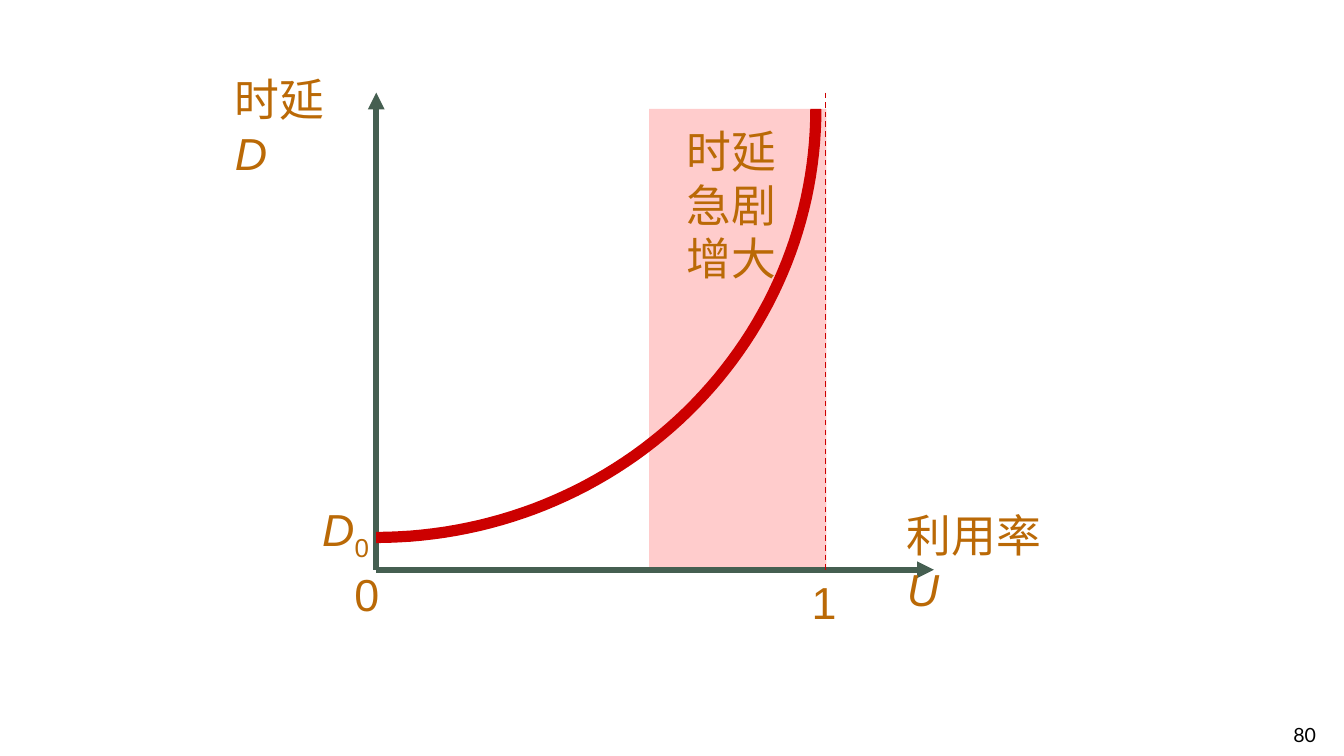
from math import cos, pi, sin

from lxml.etree import SubElement
from pptx import Presentation
from pptx.dml.color import RGBColor
from pptx.enum.dml import MSO_LINE_DASH_STYLE as Dash
from pptx.enum.shapes import MSO_CONNECTOR as Connector, MSO_SHAPE as Shape
from pptx.enum.text import MSO_ANCHOR as Anchor, PP_ALIGN as Align
from pptx.oxml.ns import qn
from pptx.util import Cm, Pt

COLORS = {
    "label": "BA6906",
    "axis": "455F51",
    "curve": "CC0000",
    "zone": "FFCCCC",
    "number": "000000",
}


class DelayChart:
    font = "Arial"
    size = 24

    def __init__(self, slide):
        self.slide = slide
        self.shapes = slide.shapes

    def color(self, name):
        return RGBColor.from_string(COLORS[name])

    def zone(self, left, top, width, height):
        area = self.shapes.add_shape(
            Shape.RECTANGLE, Cm(left), Cm(top), Cm(width), Cm(height))
        area.shadow.inherit = False
        area.fill.solid()
        area.fill.fore_color.rgb = self.color("zone")
        area.line.fill.background()

    def line(self, start, end, color, width, arrow=False, dash=None):
        connector = self.shapes.add_connector(
            Connector.STRAIGHT, *(Cm(v) for v in (*start, *end)))
        connector.line.color.rgb = self.color(color)
        connector.line.width = Pt(width)
        if dash:
            connector.line.dash_style = dash
        if arrow:
            SubElement(connector.line._get_or_add_ln(), qn("a:tailEnd"), type="triangle")
        SubElement(connector._element.spPr, qn("a:effectLst"))

    def curve(self, left, top, right, bottom, steps=60):
        """Draw a quarter ellipse rising from bottom left to top right."""
        angles = [pi / 2 * i / steps for i in range(steps + 1)]
        points = [(Cm(left + (right - left) * sin(a)),
                   Cm(top + (bottom - top) * cos(a))) for a in angles]
        builder = self.shapes.build_freeform(*points[0])
        builder.add_line_segments(points[1:], close=False)
        growth = builder.convert_to_shape()
        growth.shadow.inherit = False
        growth.fill.background()
        growth.line.color.rgb = self.color("curve")
        growth.line.width = Pt(6)

    def text(self, box, *paragraphs, wrap=False, color="label", font=None,
             align=Align.LEFT, anchor=Anchor.TOP):
        """Each paragraph is a list of (text, style) runs."""
        frame = self.shapes.add_textbox(*(Cm(v) for v in box)).text_frame
        frame.word_wrap = wrap
        frame.vertical_anchor = anchor
        for index, runs in enumerate(paragraphs):
            paragraph = frame.add_paragraph() if index else frame.paragraphs[0]
            paragraph.alignment = align
            for content, style in runs:
                run = paragraph.add_run()
                run.text = content
                run.font.name = font or self.font
                run.font.size = Pt(style.get("size", self.size))
                run.font.italic = style.get("italic", False)
                run.font.color.rgb = self.color(color)
                if "baseline" in style:
                    run.font._element.set("baseline", str(style["baseline"]))


def main():
    prs = Presentation()
    prs.slide_width, prs.slide_height = Cm(25.4), Cm(14.29)
    chart = DelayChart(prs.slides.add_slide(prs.slide_layouts[6]))

    origin_x, origin_y = origin = (7.11, 10.77)
    axis_top, full_load, zone_top = 1.75, 15.6, 2.06
    italic, space = {"italic": True}, (" ", {"size": 12})

    chart.zone(12.27, zone_top, 3.35, origin_y - zone_top)
    chart.text((4.19, 1.24, 2.8, 1.27),
               [("时延", {}), space, ("D", italic)], wrap=True)
    chart.line(origin, (origin_x, axis_top), "axis", 3, arrow=True)
    chart.line(origin, (17.65, origin_y), "axis", 3, arrow=True)
    chart.line((full_load, axis_top), (full_load, origin_y), "curve", 0.75, dash=Dash.DASH)
    chart.curve(origin_x, zone_top, 15.42, 10.16)

    chart.text((16.89, 9.47, 3.55, 1.27),
               [("利用率", {}), space, ("U", italic)], wrap=True)
    chart.text((15.09, 10.74, 0.99, 1.27), [("1", {})])
    chart.text((6.45, 10.59, 0.99, 1.27), [("0", {})])
    chart.text((5.84, 9.35, 1.45, 1.27),
               [("D", italic), ("0", {"baseline": -25000})])
    chart.text((12.73, 2.21, 2.24, 3.33),
               *([(words, {})] for words in ("时延", "急剧", "增大")))
    chart.text((23.24, 13.51, 1.88, 0.76), [("80", {"size": 10.5})], wrap=True,
               color="number", font="Lato", align=Align.RIGHT, anchor=Anchor.MIDDLE)

    prs.save("out.pptx")


if __name__ == "__main__":
    main()
